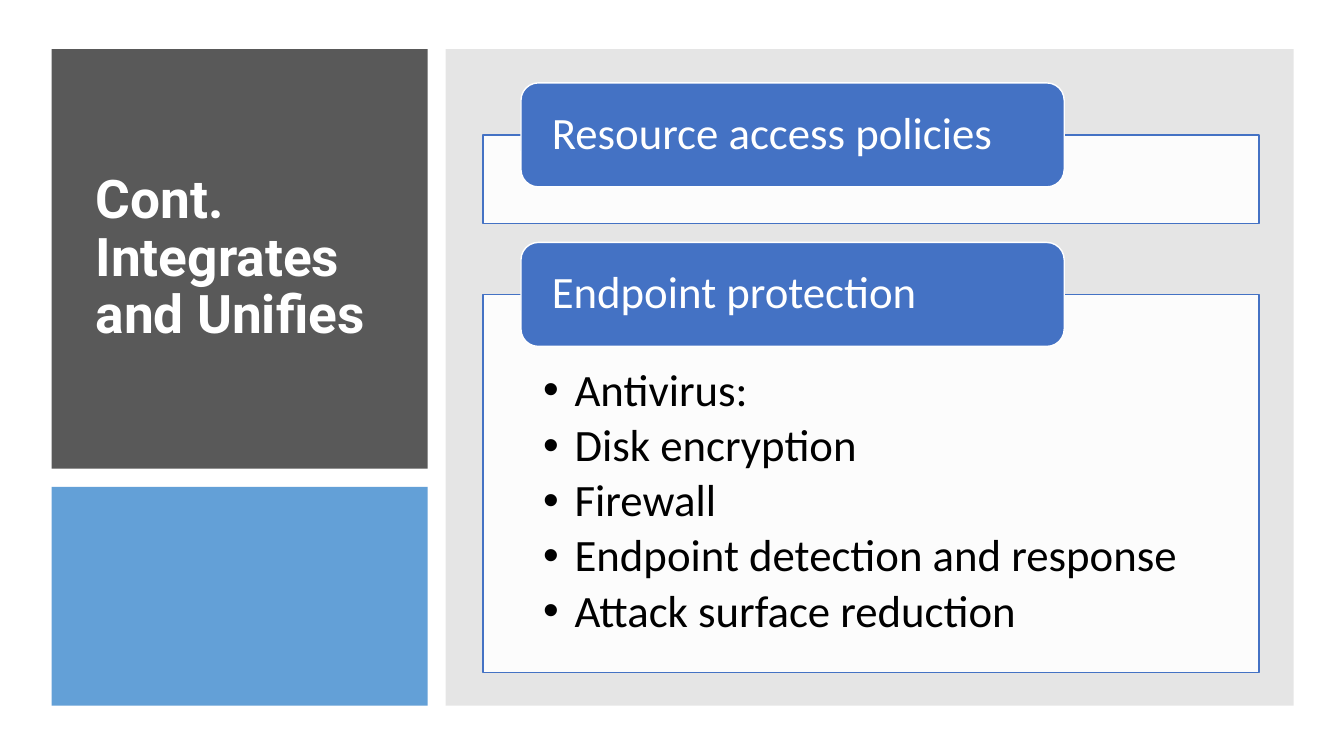
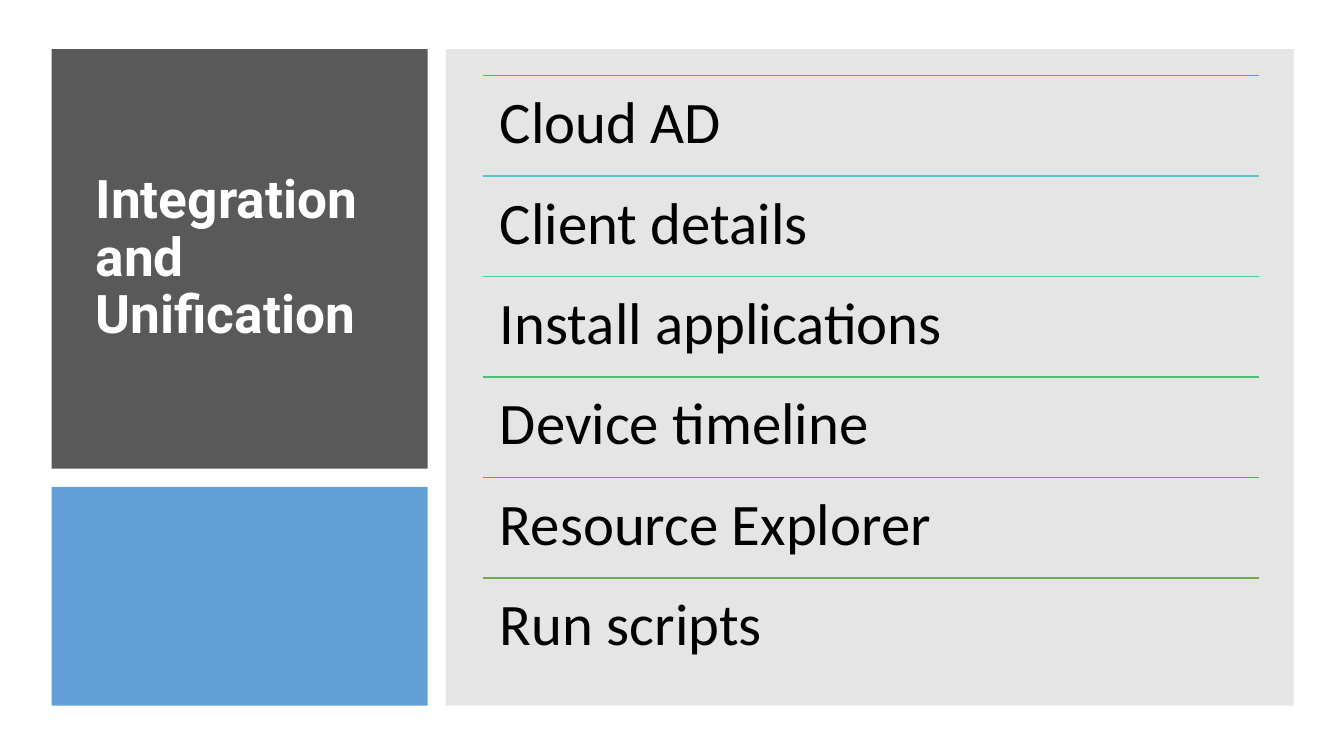
from dataclasses import dataclass

from lxml import etree
from pptx import Presentation
from pptx.dml.color import RGBColor
from pptx.enum import shapes, text
from pptx.oxml.ns import qn
from pptx.util import Cm, Pt


@dataclass(frozen=True)
class Theme:
    dark: str = "595959"
    sky: str = "5B9BD5"
    grey: str = "808080"
    blue: str = "4472C4"
    white: str = "FFFFFF"
    black: str = "000000"
    rules: tuple = ("5B9BD5", "55C3CF", "50C8A7", "4BC174", "4ABA46", "70AD47")
    title_font: str = "Roboto"
    body_font: str = "Calibri"
    title_size: int = 38
    list_size: int = 32
    row_size: int = 42


THEME = Theme()
CONTENT_LEFT, CONTENT_WIDTH = 12.17, 19.56


def add_block(page, kind, left, top, width, height, fill, opacity=100, line=None):
    """Add a flat shape, measured in cm, with opacity in percent."""
    shape = page.shapes.add_shape(kind, Cm(left), Cm(top), Cm(width), Cm(height))
    shape.shadow.inherit = False
    shape.fill.solid()
    shape.fill.fore_color.rgb = RGBColor.from_string(fill)
    if opacity < 100:
        color = shape.fill._xPr.find(".//" + qn("a:srgbClr"))
        etree.SubElement(color, qn("a:alpha")).set("val", str(opacity * 1000))
    if line:
        shape.line.color.rgb = RGBColor.from_string(line)
        shape.line.width = Pt(1)
    else:
        shape.line.fill.background()
    return shape


def write(shape, lines, font, size, color, anchor, margins, after=0, bold=False):
    """Fill a shape with left-aligned lines; margins are left, top, right, bottom in cm."""
    frame = shape.text_frame
    frame.text = "\n".join(lines)
    frame.word_wrap = True
    frame.auto_size = text.MSO_AUTO_SIZE.NONE
    frame.vertical_anchor = anchor
    (frame.margin_left, frame.margin_top,
     frame.margin_right, frame.margin_bottom) = map(Cm, margins)
    for para in frame.paragraphs:
        para.alignment = text.PP_ALIGN.LEFT
        para.line_spacing = 0.9
        para.space_before = Pt(0)
        para.space_after = Pt(after)
        for span in para.runs:
            span.font.name = font
            span.font.size = Pt(size)
            span.font.bold = bold
            span.font.color.rgb = RGBColor.from_string(color)


deck = Presentation()
deck.slide_width, deck.slide_height = Cm(33.87), Cm(19.05)

RECTANGLE = shapes.MSO_SHAPE.RECTANGLE
MIDDLE, TOP = text.MSO_ANCHOR.MIDDLE, text.MSO_ANCHOR.TOP
bands = [
    (1.3, 1.24, 9.48, 10.57, THEME.dark, 100),
    (1.3, 12.27, 9.48, 5.51, THEME.sky, 95),
    (11.23, 1.24, 21.37, 16.54, THEME.grey, 20),
]

# Shared frame: bands and title
pages = []
for layout, heading in [(1, "Cont. Integrates and Unifies"),
                        (5, "Integration and Unification")]:
    page = deck.slides.add_slide(deck.slide_layouts[layout])
    for left, top, width, height, fill, opacity in bands:
        add_block(page, RECTANGLE, left, top, width, height, fill, opacity)
    title = page.shapes.title
    title.left, title.top, title.width, title.height = map(Cm, (2.16, 2.03, 7.9, 8.99))
    write(title, [heading], THEME.title_font, THEME.title_size, THEME.white,
          MIDDLE, (0.25, 0.13, 0.25, 0.13), bold=True)
    page.shapes.element.append(title.element)
    pages.append(page)
policies_page, integration_page = pages

# Slide 1: tabbed boxes
protections = ["Antivirus:", "Disk encryption", "Firewall",
               "Endpoint detection and response", "Attack surface reduction"]
for label, top, height, bullets in [
    ("Resource access policies", 3.4, 2.24, []),
    ("Endpoint protection", 7.42, 9.53, protections),
]:
    add_block(policies_page, RECTANGLE, CONTENT_LEFT, top, CONTENT_WIDTH, height,
              THEME.white, 90, THEME.blue)
    if bullets:
        body = policies_page.placeholders[1]
        body.left, body.top, body.width, body.height = map(
            Cm, (CONTENT_LEFT, top, CONTENT_WIDTH, height))
        write(body, bullets, THEME.body_font, THEME.list_size, THEME.black,
              TOP, (1.52, 1.85, 1.52, 0.64), after=4.8)
        for para in body.text_frame.paragraphs:
            properties = para._p.get_or_add_pPr()
            properties.set("marL", str(Cm(0.79)))
            properties.set("indent", str(-Cm(0.79)))
        policies_page.shapes.element.append(body.element)
    tab = add_block(policies_page, shapes.MSO_SHAPE.ROUNDED_RECTANGLE,
                    13.13, top - 1.31, 13.69, 2.62, THEME.blue, line=THEME.white)
    write(tab, [label], THEME.body_font, THEME.list_size, THEME.white,
          MIDDLE, (0.65, 0, 0.65, 0))

# Slide 2: ruled rows
items = ["Cloud AD", "Client details", "Install applications",
         "Device timeline", "Resource Explorer", "Run scripts"]
first_row, row_height = 1.91, 2.53
for index, (item, color) in enumerate(zip(items, THEME.rules)):
    top = first_row + index * row_height
    rule = integration_page.shapes.add_connector(
        shapes.MSO_CONNECTOR.STRAIGHT, Cm(CONTENT_LEFT), Cm(top),
        Cm(CONTENT_LEFT + CONTENT_WIDTH), Cm(top))
    rule.line.color.rgb = RGBColor.from_string(color)
    rule.line.width = Pt(1)
    etree.SubElement(rule.element.spPr, qn("a:effectLst"))
    box = integration_page.shapes.add_textbox(
        Cm(CONTENT_LEFT), Cm(top), Cm(CONTENT_WIDTH), Cm(row_height))
    write(box, [item], THEME.body_font, THEME.row_size, THEME.black,
          TOP, (0.43, 0.43, 0.43, 0.43))

deck.save("out.pptx")
